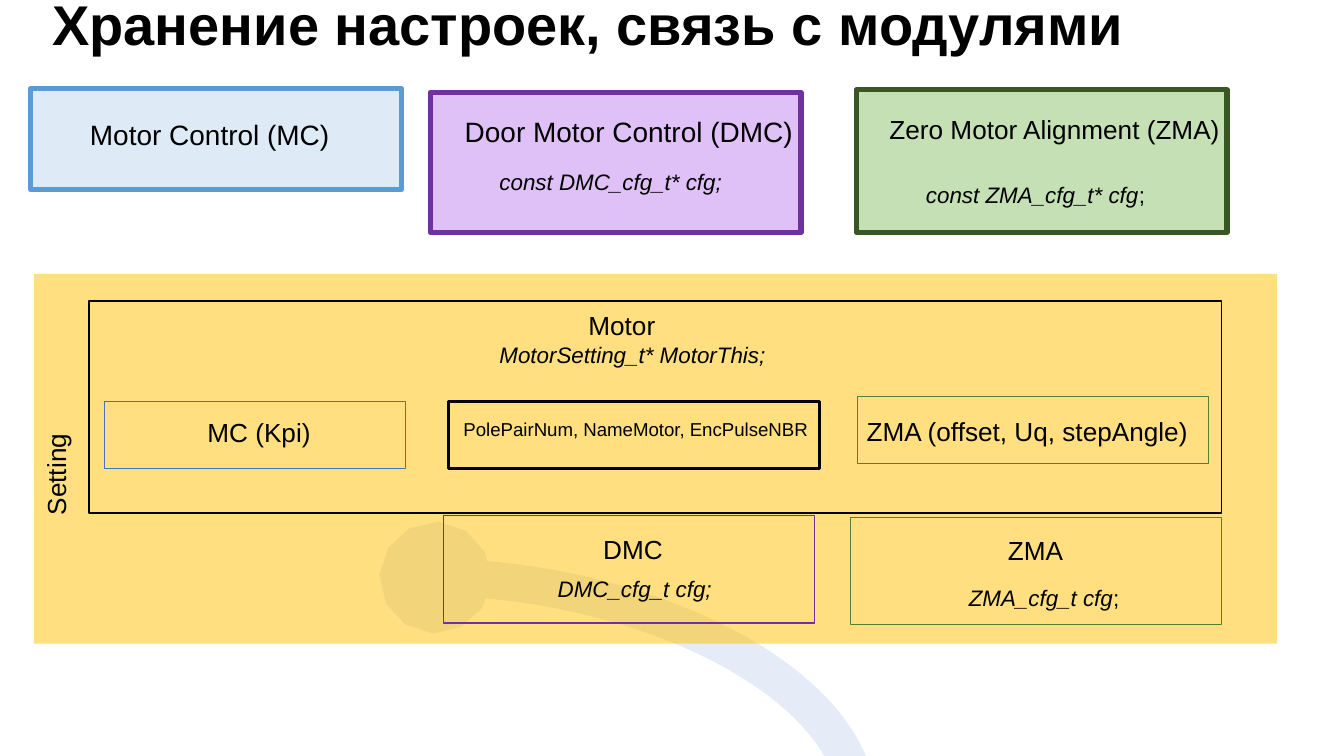
from dataclasses import dataclass
from typing import Optional

from lxml import etree
from pptx import Presentation
from pptx import util as u
from pptx.dml.color import RGBColor
from pptx.enum import shapes, text
from pptx.oxml.ns import qn

COLORS = {
    "black": "000000",
    "curve": "CAD7EE",
    "mc_fill": "DEEBF7", "mc_line": "5B9BD5", "mc_thin": "4472C4",
    "dmc_fill": "E0C1F7", "dmc_line": "7030A0",
    "zma_fill": "C5E0B4", "zma_line": "385723", "zma_thin": "548235",
    "setting": "FFC000",
}
MODULE_W = 7.01   # common width of module boxes, cm
ROW_H = 1.27      # height of the boxes inside Motor
CFG_H = 2.03      # height of the config boxes under Motor


@dataclass
class Box:
    left: float
    top: float
    width: float
    height: float
    fill: Optional[str] = None
    line: Optional[str] = None
    weight: float = 0.75
    alpha: Optional[int] = None


@dataclass
class Label:
    left: float
    top: float
    width: float
    height: float
    words: str
    fmt: dict


BOXES = [
    # Setting area and the Motor frame
    Box(0.64, 5.18, 23.5, 6.99, fill="setting", alpha=50),
    Box(1.68, 5.69, 21.41, 4.01, line="black"),
    # Modules
    Box(0.58, 1.68, MODULE_W, 1.91, "mc_fill", "mc_line", 2.75),
    Box(8.13, 1.75, MODULE_W, 2.64, "dmc_fill", "dmc_line", 2.75),
    Box(16.18, 1.7, MODULE_W, 2.69, "zma_fill", "zma_line", 2.75),
    # Settings inside Motor
    Box(1.98, 7.59, 5.69, ROW_H, line="mc_thin"),
    Box(8.48, 7.59, MODULE_W, ROW_H, line="black", weight=1.5),
    Box(16.21, 7.49, 6.63, ROW_H, line="zma_thin"),
    # Module configs
    Box(8.38, 9.75, MODULE_W, CFG_H, line="dmc_line"),
    Box(16.08, 9.78, MODULE_W, CFG_H, line="zma_thin"),
]

HEADING = dict(size=15, centred=True, tight=True)
NAME = dict(size=14, wrap=False)
CODE = dict(size=12, italic=True)

LABELS = [
    Label(0.74, -0.33, 23.24, 1.55, "Хранение настроек, связь с модулями",
          dict(size=30, bold=True)),
    Label(-0.58, 7.92, 3.28, 0.86, "Setting", dict(size=14, rotation=270)),
    # Module names
    Label(-0.33, 2.24, 8.59, 0.61, "Motor Control (MC)", HEADING),
    Label(7.59, 2.18, 8.59, 0.61, "Door Motor Control (DMC)", HEADING),
    Label(16.56, 2.01, 6.81, 0.86, "Zero Motor Alignment (ZMA)", NAME),
    # Setting names
    Label(10.87, 5.72, 1.78, 0.86, "Motor", NAME),
    Label(3.53, 7.75, 2.62, 0.86, "MC (Kpi)", dict(NAME, indent=0.14)),
    Label(8.51, 7.77, 7.11, 0.69, "PolePairNum, NameMotor, EncPulseNBR",
          dict(NAME, size=10)),
    Label(16.13, 7.72, 6.65, 0.86, "ZMA (offset, Uq, stepAngle)", NAME),
    Label(11.15, 9.96, 1.65, 0.86, "DMC", NAME),
    Label(18.8, 9.98, 1.57, 0.86, "ZMA", NAME),
    # Declarations
    Label(14.71, 3.3, 12.88, 0.86, "const ZMA_cfg_t* cfg",
          dict(CODE, indent=2.54, upright_end=";")),
    Label(9.19, 3.05, 5.92, 0.76, "const DMC_cfg_t* cfg;", CODE),
    Label(18.06, 10.92, 4.6, 0.76, "ZMA_cfg_t cfg", dict(CODE, upright_end=";")),
    Label(10.29, 10.74, 5.92, 0.76, "DMC_cfg_t cfg;", CODE),
    Label(6.65, 6.32, 13.94, 0.86, "MotorSetting_t* MotorThis;",
          dict(CODE, indent=2.54)),
]


def rgb(name: str) -> RGBColor:
    return RGBColor.from_string(COLORS[name])


def set_alpha(parent, percent: int) -> None:
    clr = next(parent.iter(qn("a:srgbClr")))
    etree.SubElement(clr, qn("a:alpha")).set("val", str(percent * 1000))


def draw_box(s, box: Box) -> None:
    sp = s.shapes.add_shape(
        shapes.MSO_SHAPE.RECTANGLE,
        *map(u.Cm, (box.left, box.top, box.width, box.height)))
    sp.shadow.inherit = False
    if box.fill:
        sp.fill.solid()
        sp.fill.fore_color.rgb = rgb(box.fill)
        if box.alpha:
            set_alpha(sp.fill._xPr.find(qn("a:solidFill")), box.alpha)
    else:
        sp.fill.background()
    if box.line:
        sp.line.color.rgb = rgb(box.line)
        sp.line.width = u.Pt(box.weight)
    else:
        sp.line.fill.background()


def add_run(p, words: str, size: float, bold: bool, italic: bool) -> None:
    r = p.add_run()
    r.text = words
    r.font.name = "Arial"
    r.font.size = u.Pt(size)
    r.font.bold = bold
    r.font.italic = italic
    r.font.color.rgb = rgb("black")


def add_label(s, label: Label, *, size: float, bold: bool = False,
              italic: bool = False, wrap: bool = True, centred: bool = False,
              tight: bool = False, indent: float = 0, rotation: float = 0,
              upright_end: str = "") -> None:
    sp = s.shapes.add_textbox(
        *map(u.Cm, (label.left, label.top, label.width, label.height)))
    sp.rotation = rotation
    tf = sp.text_frame
    tf.word_wrap = wrap
    tf.auto_size = text.MSO_AUTO_SIZE.SHAPE_TO_FIT_TEXT
    p = tf.paragraphs[0]
    if centred:
        p.alignment = text.PP_ALIGN.CENTER
    if tight:
        tf.margin_left = tf.margin_right = tf.margin_bottom = 0
        tf.margin_top = u.Cm(0.08)
        p.line_spacing = 0.85
        p.space_after = u.Pt(4.5)
    if indent:
        p._p.get_or_add_pPr().set("marL", str(u.Cm(indent)))
    add_run(p, label.words, size, bold, italic)
    if upright_end:
        add_run(p, upright_end, size, bold, False)


def draw_curve(s) -> None:
    cn = s.shapes.add_connector(
        shapes.MSO_CONNECTOR.CURVE, *map(u.Cm, (24.23, 19.71, 8.23, 10.92)))
    cn.line.color.rgb = rgb("curve")
    cn.line.width = u.Pt(20)
    ln = cn.line._get_or_add_ln()
    set_alpha(ln, 45)
    etree.SubElement(ln, qn("a:tailEnd")).set("type", "oval")
    etree.SubElement(cn._element.spPr, qn("a:effectLst"))


def main() -> None:
    prs = Presentation()
    prs.slide_width, prs.slide_height = u.Cm(25.4), u.Cm(14.29)
    s = prs.slides.add_slide(prs.slide_layouts[6])
    draw_curve(s)
    for box in BOXES:
        draw_box(s, box)
    for label in LABELS:
        add_label(s, label, **label.fmt)
    prs.save("out.pptx")


if __name__ == "__main__":
    main()
